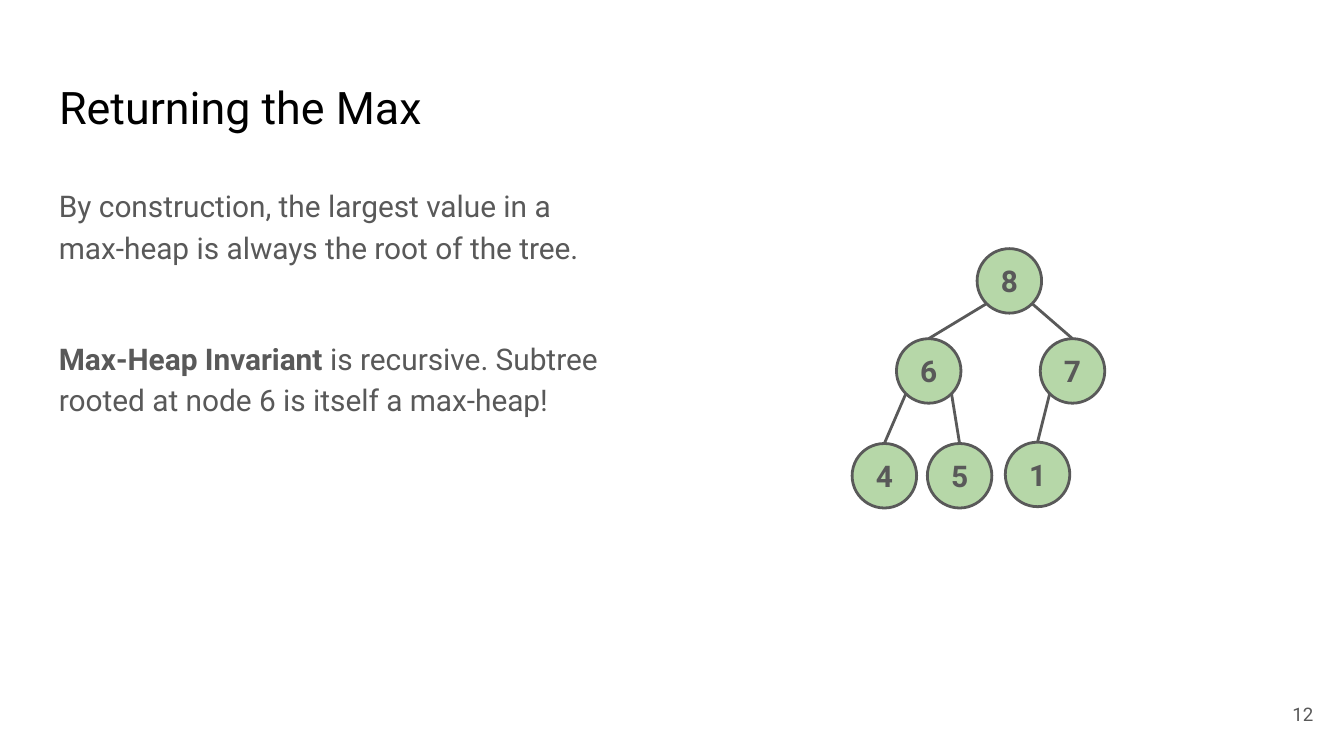
import math

import pptx
import pptx.dml.color
import pptx.enum.shapes
import pptx.enum.text
import pptx.oxml.ns
import pptx.util
from lxml import etree

PX = 9144  # EMU per px, 100 px to the inch
FONT = "Roboto"
COLORS = {"title": "000000", "text": "595959", "node": "B6D7A8"}
ALIGN = pptx.enum.text.PP_ALIGN
ANCHOR = pptx.enum.text.MSO_ANCHOR


def color(name):
    return pptx.dml.color.RGBColor.from_string(COLORS[name])


def add_text(para, text, size=16, bold=False, ink="text"):
    span = para.add_run()
    span.text = text
    span.font.name = FONT
    span.font.size = pptx.util.Pt(size)
    span.font.bold = bold
    span.font.color.rgb = color(ink)


class Slide:
    """Style and drawing methods for the current page."""

    line_width = pptx.util.Pt(1.5)
    diameter = 48
    inset = 10

    def __init__(self, deck):
        self.page = deck.slides.add_slide(deck.slide_layouts[5])

    def frame(self, box, anchor=ANCHOR.TOP, align=ALIGN.LEFT):
        frame = box.text_frame
        frame.auto_size = pptx.enum.text.MSO_AUTO_SIZE.NONE
        frame.word_wrap = True
        frame.vertical_anchor = anchor
        frame.margin_left = frame.margin_right = self.inset * PX
        frame.margin_top = frame.margin_bottom = self.inset * PX
        frame.paragraphs[0].alignment = align
        return frame

    def title(self, text, left, top, width, height):
        box = self.page.shapes.title
        box.left, box.top = left * PX, top * PX
        box.width, box.height = width * PX, height * PX
        add_text(self.frame(box).paragraphs[0], text, size=24, ink="title")

    def text_box(self, left, top, width, height, **layout):
        box = self.page.shapes.add_textbox(
            left * PX, top * PX, width * PX, height * PX)
        return self.frame(box, **layout)

    def node(self, label, center):
        x, y = center
        radius = self.diameter // 2
        circle = self.page.shapes.add_shape(
            pptx.enum.shapes.MSO_SHAPE.OVAL, (x - radius) * PX, (y - radius) * PX,
            self.diameter * PX, self.diameter * PX)
        circle.shadow.inherit = False
        circle.fill.solid()
        circle.fill.fore_color.rgb = color("node")
        circle.line.color.rgb = color("text")
        circle.line.width = self.line_width
        frame = self.frame(circle, anchor=ANCHOR.MIDDLE, align=ALIGN.CENTER)
        add_text(frame.paragraphs[0], label, bold=True)

    def edge(self, parent, child):
        """Join the parent's lower diagonal to the top of the child."""
        radius = self.diameter // 2
        reach = round(radius * math.sqrt(0.5))
        side = reach if child[0] > parent[0] else -reach
        line = self.page.shapes.add_connector(
            pptx.enum.shapes.MSO_CONNECTOR.STRAIGHT,
            (parent[0] + side) * PX, (parent[1] + reach) * PX,
            child[0] * PX, (child[1] - radius) * PX)
        line.line.color.rgb = color("text")
        line.line.width = self.line_width
        etree.SubElement(line._element.spPr, pptx.oxml.ns.qn("a:effectLst"))


def main():
    deck = pptx.Presentation()
    deck.slide_width = 1000 * PX
    deck.slide_height = deck.slide_width * 9 // 16
    slide = Slide(deck)

    # Title and explanation
    slide.title("Returning the Max", 34, 49, 432, 63)
    body = slide.text_box(34, 126, 432, 374)
    first = body.paragraphs[0]
    add_text(first, "By construction, the largest value in a max-heap "
                    "is always the root of the tree.")
    second = body.add_paragraph()
    second.space_before = pptx.util.Pt(37.5)
    add_text(second, "Max-Heap Invariant", bold=True)
    add_text(second, " is recursive. Subtree rooted at node 6 is itself a max-heap!")
    for para in body.paragraphs:
        para.line_spacing = 1.15

    # Heap: node centers and parent-child pairs
    centers = {"8": (751, 209), "6": (691, 276), "7": (798, 276),
               "4": (658, 354), "5": (714, 354), "1": (772, 353)}
    for parent, child in ("86", "87", "64", "65", "71"):
        slide.edge(centers[parent], centers[child])
    for label, center in centers.items():
        slide.node(label, center)

    # Page number
    number = slide.text_box(927, 510, 60, 43, anchor=ANCHOR.MIDDLE, align=ALIGN.RIGHT)
    add_text(number.paragraphs[0], "12", size=10)

    deck.save("out.pptx")


if __name__ == "__main__":
    main()
